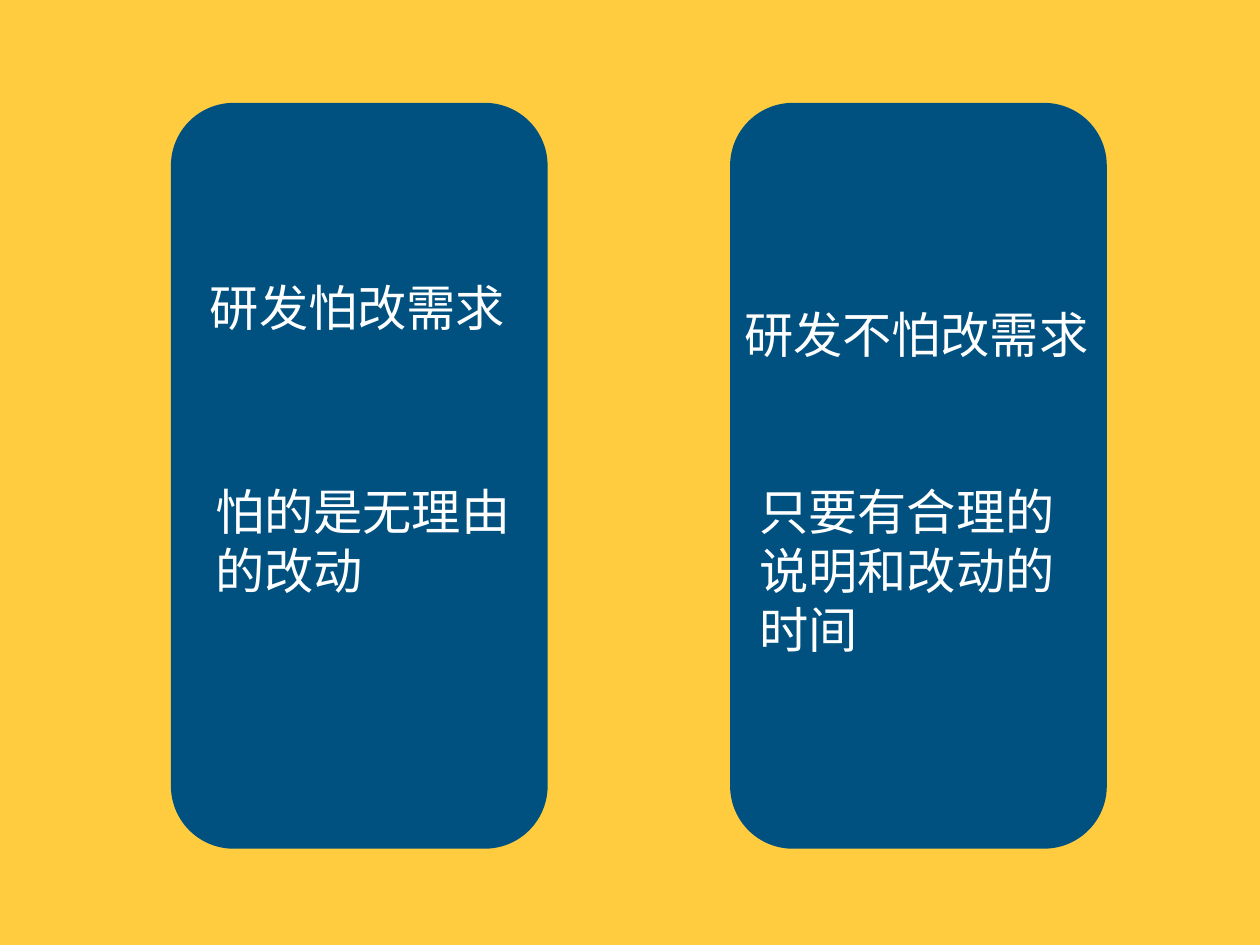
from lxml import etree
from pptx import Presentation
from pptx.dml.color import RGBColor
from pptx.enum import shapes, text
from pptx.oxml import ns
from pptx.util import Cm, Pt

HUES = {"back": "FFCC40", "card": "005180", "text": "FFFFFF"}
FONT = "Noto Sans CJK SC"
TOP, WIDE, HIGH = 2.95, 10.8, 21.39


def paint(fill, name):
    fill.solid()
    fill.fore_color.rgb = RGBColor.from_string(HUES[name])


def add_label(slide, words, box, wrap):
    label = slide.shapes.add_textbox(*map(Cm, box))
    frame = label.text_frame
    frame.word_wrap = wrap
    frame.auto_size = text.MSO_AUTO_SIZE.SHAPE_TO_FIT_TEXT
    frame.vertical_anchor = text.MSO_ANCHOR.MIDDLE
    frame.margin_left = frame.margin_right = Cm(0.15)
    frame.margin_top = frame.margin_bottom = Cm(0.15)
    para = frame.paragraphs[0]
    para.text = words
    font = para.font
    font.size, font.name = Pt(40), FONT
    paint(font.fill, "text")
    # East Asian typeface
    props = para._p.pPr.find(ns.qn("a:defRPr"))
    etree.SubElement(props, ns.qn("a:ea")).set("typeface", FONT)


def add_card(slide, left, top, head, body):
    card = slide.shapes.add_shape(
        shapes.MSO_SHAPE.ROUNDED_RECTANGLE,
        Cm(left), Cm(top), Cm(WIDE), Cm(HIGH))
    card.shadow.inherit = False
    paint(card.fill, "card")
    card.line.fill.background()
    # Heading on one line, body wrapped
    for (words, dx, dy, wide, high), wrap in ((head, False), (body, True)):
        add_label(slide, words, (left + dx, top + dy, wide, high), wrap)


def main():
    deck = Presentation()
    deck.slide_width, deck.slide_height = Cm(36.12), Cm(27.1)
    slide = deck.slides.add_slide(deck.slide_layouts[6])
    paint(slide.background.fill, "back")

    # Left card: the fear
    add_card(slide, 4.9, TOP,
             ("研发怕改需求", 0.97, 4.83, 8.84, 2.01),
             ("怕的是无理由的改动", 1.12, 10.69, 8.84, 3.71))
    # Right card: the remedy
    add_card(slide, 20.93, TOP,
             ("研发不怕改需求", 0.25, 5.61, 10.26, 2.01),
             ("只要有合理的说明和改动的时间", 0.69, 10.69, 9.42, 5.41))
    deck.save("out.pptx")


if __name__ == "__main__":
    main()
